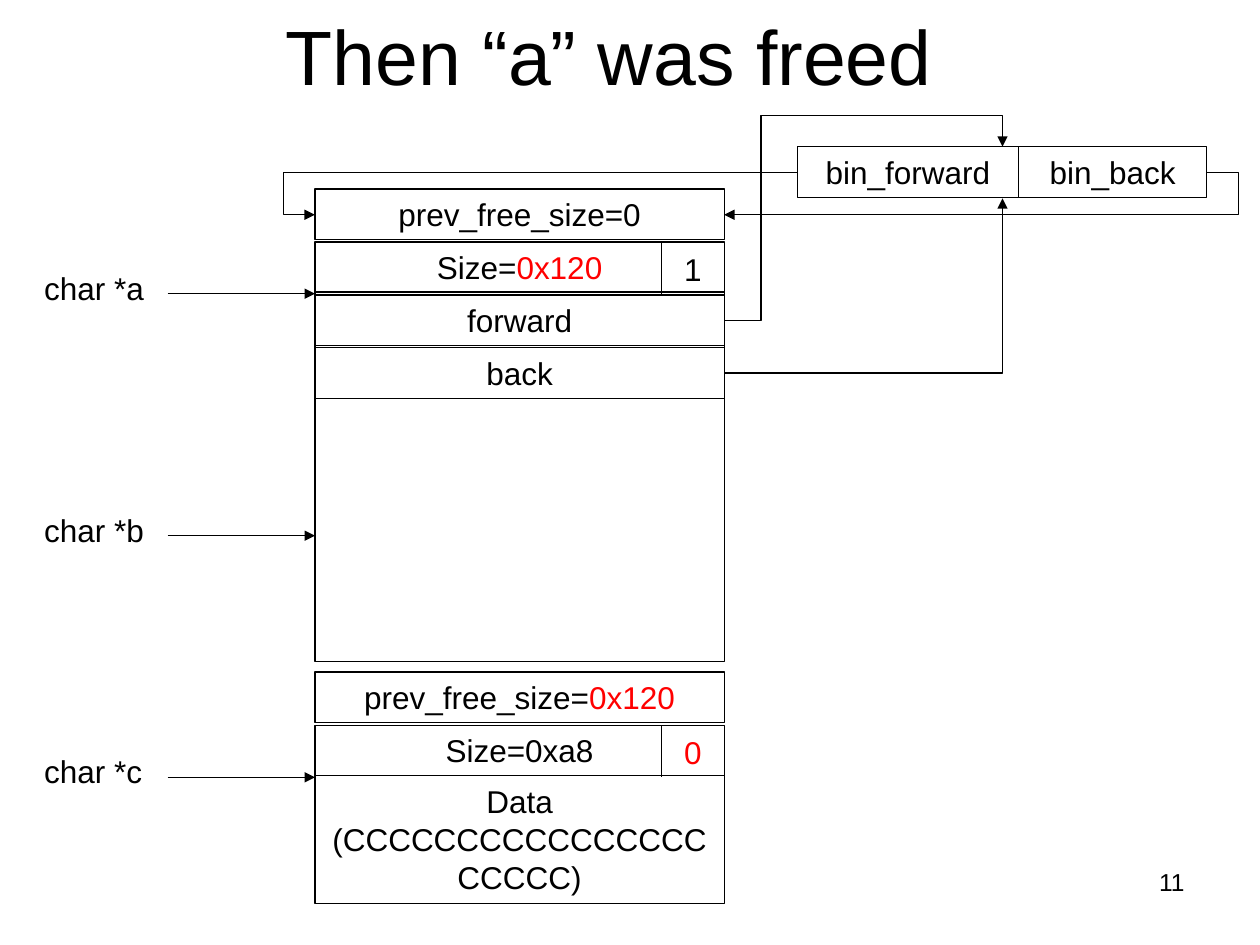
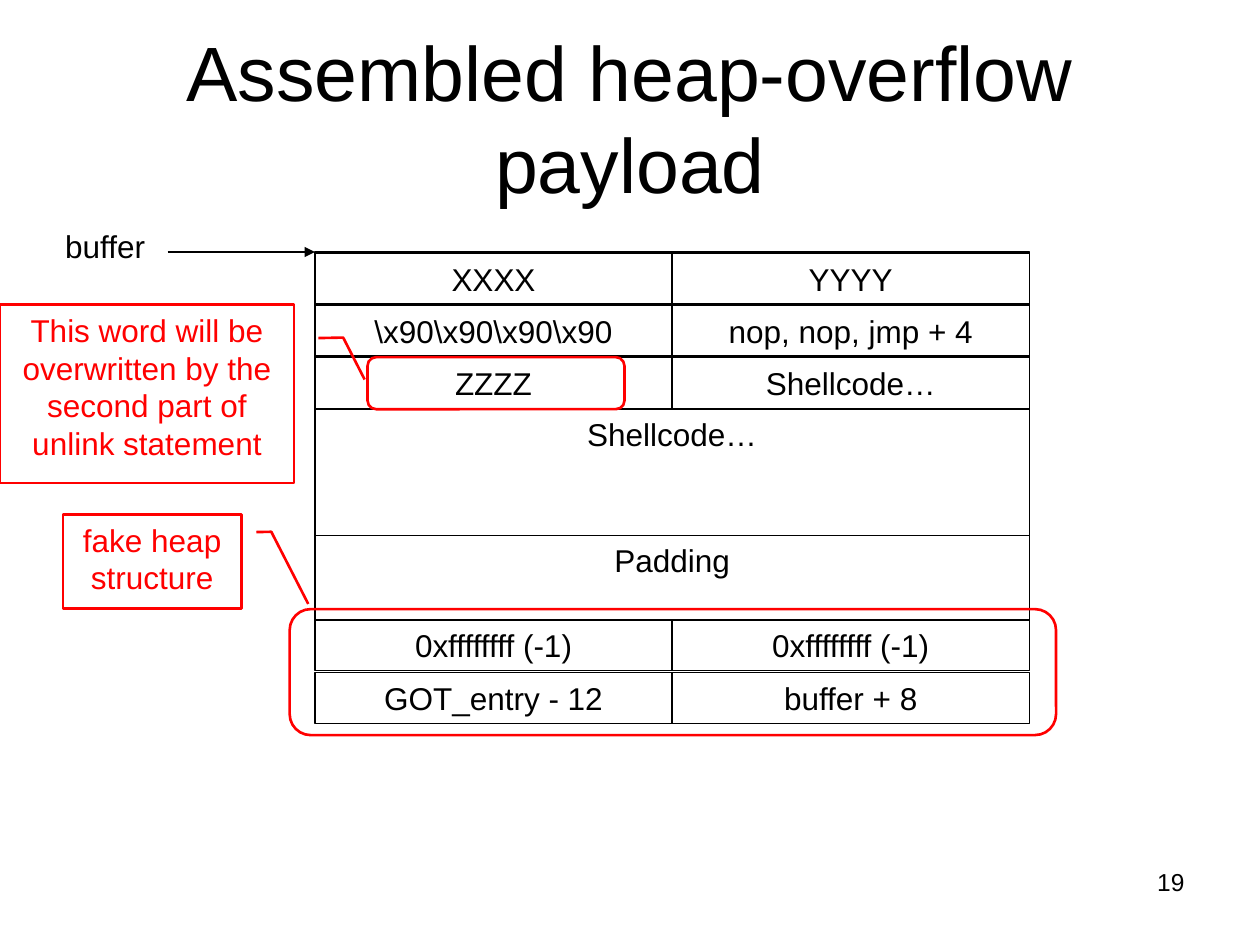
from lxml import etree
from pptx import Presentation, util as u
from pptx.dml.color import RGBColor
from pptx.enum import shapes as kinds, text as t
from pptx.oxml.ns import qn

BLACK, RED = "000000", "FF0000"
FONT = "Arial"
LEFT = 6.35            # left edge of the memory diagrams, in cm
ROW_HEIGHT = 1.02
ALIGN = t.PP_ALIGN


def color(hex_string):
    return RGBColor.from_string(hex_string)


def write(shape, text, highlight="", size=18, ink=BLACK, align=ALIGN.CENTER,
          anchor=t.MSO_ANCHOR.TOP):
    """Write text, then a red highlight, into a shape."""
    frame = shape.text_frame
    frame.word_wrap = True
    frame.auto_size = t.MSO_AUTO_SIZE.NONE
    frame.vertical_anchor = anchor
    paragraph = frame.paragraphs[0]
    paragraph.alignment = align
    for part, part_ink in ((text, ink), (highlight, RED)):
        if part:
            run = paragraph.add_run()
            run.text = part
            run.font.name, run.font.size = FONT, u.Pt(size)
            run.font.color.rgb = color(part_ink)


def add_outline(slide, left, top, width, height, ink=BLACK, weight=0.75,
                kind=kinds.MSO_SHAPE.RECTANGLE):
    shape = slide.shapes.add_shape(
        kind, u.Cm(left), u.Cm(top), u.Cm(width), u.Cm(height))
    shape.shadow.inherit = False
    shape.fill.background()
    shape.line.color.rgb = color(ink)
    shape.line.width = u.Pt(weight)
    return shape


def add_cell(slide, left, top, width, text, highlight="", height=ROW_HEIGHT):
    write(add_outline(slide, left, top, width, height), text, highlight)


def add_label(slide, left, top, width, text, height=ROW_HEIGHT, **text_format):
    box = slide.shapes.add_textbox(
        u.Cm(left), u.Cm(top), u.Cm(width), u.Cm(height))
    write(box, text, **text_format)


def add_line(slide, start, end, arrow=True, bend=None, adjustments=()):
    """Draw a straight line, or a bent connector of the given preset."""
    kind = kinds.MSO_CONNECTOR.ELBOW if bend else kinds.MSO_CONNECTOR.STRAIGHT
    line = slide.shapes.add_connector(kind, *map(u.Cm, start + end))
    line.line.color.rgb = color(BLACK)
    line.line.width = u.Pt(0.75)
    properties = line._element.spPr
    if bend:
        geometry = properties.find(qn("a:prstGeom"))
        geometry.set("prst", bend)
        guides = geometry.find(qn("a:avLst"))
        if guides is None:
            guides = etree.SubElement(geometry, qn("a:avLst"))
        for number, value in enumerate(adjustments, 1):
            etree.SubElement(guides, qn("a:gd"), name=f"adj{number}",
                             fmla=f"val {round(value * 100000)}")
    if arrow:
        etree.SubElement(properties.find(qn("a:ln")), qn("a:tailEnd"),
                         type="triangle")
    etree.SubElement(properties, qn("a:effectLst"))


def add_pointer(slide, text, top, left=0.64, width=2.74, align=ALIGN.LEFT):
    """Label a memory address and point at it."""
    add_label(slide, left, top - 0.63, width, text, align=align)
    add_line(slide, (3.38, top), (LEFT, top))


def add_callout(slide, left, top, width, height, text, tip):
    callout = add_outline(slide, left, top, width, height, RED, 1.5,
                          kinds.MSO_SHAPE.LINE_CALLOUT_2)
    callout._element.spPr.find(qn("a:xfrm")).set("flipH", "1")
    for index, value in enumerate((0.188, -0.083, 0.185, -0.167) + tip):
        callout.adjustments[index] = value
    write(callout, text, ink=RED)


def add_slide(presentation, title, number, left, top, height):
    slide = presentation.slides.add_slide(presentation.slide_layouts[5])
    shape = slide.shapes.title
    shape.left, shape.top = u.Cm(left), u.Cm(top)
    shape.width, shape.height = u.Cm(22.86), u.Cm(height)
    write(shape, title, size=44, anchor=t.MSO_ANCHOR.MIDDLE)
    add_label(slide, 18.2, 17.35, 5.93, number, height=1.32, size=14,
              align=ALIGN.RIGHT)
    return slide


def add_chunk_header(slide, top, previous, size, flag):
    """Draw two header rows; each value is (text, highlight)."""
    size_top = top + 1.07
    add_cell(slide, LEFT, top, 8.25, *previous)
    add_cell(slide, LEFT, size_top, 8.25, *size)
    add_line(slide, (13.33, size_top), (13.33, size_top + 1.05), arrow=False)
    add_label(slide, 13.54, size_top + 0.03, 1.27, flag[0], highlight=flag[1],
              align=ALIGN.LEFT)


def build_freed_chunk(presentation):
    slide = add_slide(presentation, "Then “a” was freed", "11", 0.85, 0, 2.2)
    width, right = 8.25, LEFT + 8.25

    # Free chunk and the chunk after it
    add_chunk_header(slide, 3.81, ("prev_free_size=0",), ("Size=", "0x120"),
                     ("1", ""))
    add_outline(slide, LEFT, 5.89, width, 7.44)
    add_cell(slide, LEFT, 5.95, width, "forward")
    add_cell(slide, LEFT, 7.01, width, "back")
    add_chunk_header(slide, 13.55, ("prev_free_size=", "0x120"),
                     ("Size=0xa8",), ("", "0"))
    add_cell(slide, LEFT, 15.64, width, "Data (CCCCCCCCCCCCCCCCCCCCC)",
             height=2.57)

    # Program variables
    for name, top in zip("abc", (5.92, 10.8, 15.67)):
        add_pointer(slide, f"char *{name}", top)

    # Bin and its links with the free chunk
    add_cell(slide, 16.08, 2.96, 4.45, "bin_forward")
    add_cell(slide, 20.53, 2.96, 3.8, "bin_back")
    for start_x, end_x, bend_at in ((16.08, LEFT, 1.065), (24.33, right, -0.065)):
        add_line(slide, (start_x, 3.48), (end_x, 4.33),
                 bend="bentConnector3", adjustments=(bend_at,))
    add_line(slide, (right, 6.47), (20.21, 2.96),
             bend="bentConnector4", adjustments=(0.132, 1.181))
    add_line(slide, (right, 7.52), (20.21, 4), bend="bentConnector2")


def build_payload(presentation):
    slide = add_slide(presentation, "Assembled heap-overflow payload", "19",
                      1.27, 0.76, 3.18)
    column = 7.2

    # Payload words, two to a row
    add_outline(slide, LEFT, 5.08, 2 * column, 7.42)
    rows = (
        (5.11, "XXXX", "YYYY"),
        (6.16, r"\x90\x90\x90\x90", "nop, nop, jmp + 4"),
        (7.21, "ZZZZ", "Shellcode…"),
        (12.5, "0xffffffff (-1)", "0xffffffff (-1)"),
        (13.56, "GOT_entry - 12", "buffer + 8"),
    )
    for top, *words in rows:
        for index, word in enumerate(words):
            add_cell(slide, LEFT + index * column, top, column, word)
    add_cell(slide, LEFT, 8.25, 2 * column, "Shellcode…", height=2.54)
    add_cell(slide, LEFT, 10.79, 2 * column, "Padding", height=1.7)
    add_pointer(slide, "buffer", 5.08, left=0.85, width=2.54,
                align=ALIGN.CENTER)

    # Red marks and their explanations
    for area in ((5.84, 12.28, 15.45, 2.54), (7.41, 7.2, 5.18, 1.05)):
        add_outline(slide, *area, RED, 1.5, kinds.MSO_SHAPE.ROUNDED_RECTANGLE)
    add_callout(slide, 1.27, 10.37, 3.6, 1.9, "fake heap structure",
                (0.951, -0.374))
    add_callout(slide, 0, 6.14, 5.93, 3.6,
                "This word will be overwritten by the second part of "
                "unlink statement", (0.42, -0.24))


def main():
    presentation = Presentation()
    presentation.slide_width, presentation.slide_height = u.Cm(25.4), u.Cm(19.05)
    build_freed_chunk(presentation)
    build_payload(presentation)
    presentation.save("out.pptx")


if __name__ == "__main__":
    main()
